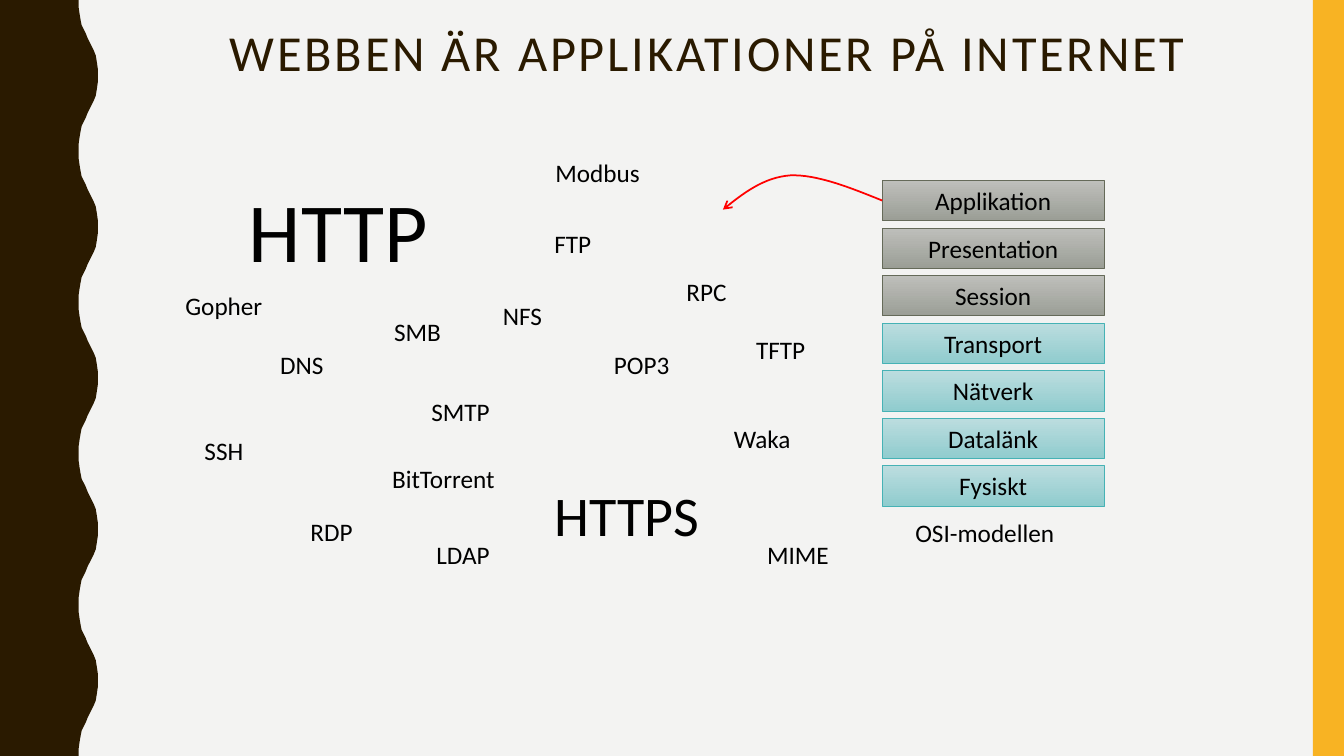
from dataclasses import dataclass

from lxml import etree
from pptx import Presentation
from pptx.dml.color import RGBColor
from pptx.enum.shapes import MSO_SHAPE
from pptx.enum.text import MSO_ANCHOR, MSO_AUTO_SIZE, PP_ALIGN
from pptx.oxml.ns import qn
from pptx.util import Inches, Pt

RECT = MSO_SHAPE.RECTANGLE
TOP, MIDDLE = MSO_ANCHOR.TOP, MSO_ANCHOR.MIDDLE
LEFT, CENTER = PP_ALIGN.LEFT, PP_ALIGN.CENTER
GROW = MSO_AUTO_SIZE.SHAPE_TO_FIT_TEXT


@dataclass(frozen=True)
class Theme:
    font: str = "Calibri"
    background: str = "F3F3F2"
    brown: str = "2A1A00"
    yellow: str = "F8B323"
    red: str = "FF0000"
    black: str = "000000"
    # gradient top, gradient bottom, outline
    gray: tuple = ("BEBFBB", "9B9E96", "656A59")
    teal: tuple = ("BCDDDF", "90CCCE", "46B2B5")
    title: int = 36
    body: int = 18
    http: int = 60
    https: int = 40


theme = Theme()


def rgb(value):
    return RGBColor.from_string(value)


def write(shape, text, size=theme.body, color=theme.black, align=LEFT,
          anchor=TOP, wrap=True, grow=True, line_spacing=None, tracking=0):
    """Fill a shape with one formatted line; tracking is in points."""
    tf = shape.text_frame
    tf.word_wrap = wrap
    tf.vertical_anchor = anchor
    if grow:
        tf.auto_size = GROW
    p = tf.paragraphs[0]
    p.alignment = align
    if line_spacing:
        p.line_spacing = line_spacing
    r = p.add_run()
    r.text = text
    r.font.name = theme.font
    r.font.size = Pt(size)
    r.font.color.rgb = rgb(color)
    if tracking:
        r.font._element.set("spc", str(tracking * 100))


prs = Presentation()
prs.slide_width, prs.slide_height = Inches(13.33), Inches(7.5)
s = prs.slides.add_slide(prs.slide_layouts[6])
s.background.fill.solid()
s.background.fill.fore_color.rgb = rgb(theme.background)

# Wavy left edge: a half wave, mirrored, repeated five times
WAVES, PERIOD = 5, 1.5
half_wave = [(0.78, 0), (0.78, 0.07), (0.79, 0.14), (0.8, 0.2), (0.81, 0.25),
             (0.83, 0.29), (0.85, 0.33), (0.87, 0.38), (0.89, 0.42),
             (0.91, 0.46), (0.93, 0.5), (0.95, 0.55), (0.96, 0.61),
             (0.97, 0.68), (0.97, 0.75)]
wave = half_wave + [(x, PERIOD - y) for x, y in reversed(half_wave[:-1])]
edge = [(Inches(x), Inches(y + PERIOD * i))
        for i in range(WAVES) for x, y in wave]
fb = s.shapes.build_freeform(0, 0)
fb.add_line_segments(edge + [(0, Inches(7.5))], close=True)
left_band = fb.convert_to_shape()
right_band = s.shapes.add_shape(RECT, Inches(13.02), 0, Inches(0.31), Inches(7.5))
for band, color in ((left_band, theme.brown), (right_band, theme.yellow)):
    band.shadow.inherit = False
    band.fill.solid()
    band.fill.fore_color.rgb = rgb(color)
    band.line.fill.background()

title = s.shapes.add_textbox(Inches(1.28), Inches(0.23), Inches(11.48), Inches(0.88))
write(title, "WEBBEN ÄR APPLIKATIONER PÅ INTERNET", size=theme.title,
      color=theme.brown, align=CENTER, grow=False, line_spacing=0.9, tracking=2)

# OSI layers
LAYER_TOP, LAYER_PITCH = 1.79, 2.83 / 6
layers = [("Applikation", theme.gray), ("Presentation", theme.gray),
          ("Session", theme.gray), ("Transport", theme.teal),
          ("Nätverk", theme.teal), ("Datalänk", theme.teal),
          ("Fysiskt", theme.teal)]
for i, (name, (light, dark, outline)) in enumerate(layers):
    layer = s.shapes.add_shape(RECT, Inches(8.75), Inches(LAYER_TOP + i * LAYER_PITCH),
                               Inches(2.2), Inches(0.4))
    layer.shadow.inherit = False
    layer.fill.gradient()
    layer.fill.gradient_angle = 270
    for stop, color in zip(layer.fill.gradient_stops, (light, dark)):
        stop.color.rgb = rgb(color)
    layer.line.color.rgb = rgb(outline)
    layer.line.width = Pt(0.5)
    write(layer, name, align=CENTER, anchor=MIDDLE)

# Curved arrow: two cubic Bézier pieces, sampled
STEPS = 16
curves = [((8.75, 1.99), (8.43, 1.86), (8.1, 1.73), (7.84, 1.74)),
          ((7.84, 1.74), (7.57, 1.76), (7.37, 1.92), (7.17, 2.08))]
arrow_points = []
for curve in curves:
    for step in range(STEPS + 1):
        t = step / STEPS
        weights = ((1 - t) ** 3, 3 * t * (1 - t) ** 2, 3 * t ** 2 * (1 - t), t ** 3)
        arrow_points.append(tuple(
            Inches(sum(w * c for w, c in zip(weights, axis))) for axis in zip(*curve)))
fb = s.shapes.build_freeform(*arrow_points[0])
fb.add_line_segments(arrow_points[1:], close=False)
arrow = fb.convert_to_shape()
arrow.shadow.inherit = False
arrow.fill.background()
arrow.line.color.rgb = rgb(theme.red)
arrow.line.width = Pt(1.25)
etree.SubElement(arrow.line._get_or_add_ln(), qn("a:tailEnd"), type="arrow")

# Protocol names: text, left, top, width
labels = [
    ("OSI-modellen", 8.98, 5.08, 1.82), ("FTP", 5.4, 2.22, 1.1),
    ("DNS", 2.68, 3.42, 1.1), ("POP3", 5.99, 3.42, 1.02),
    ("RDP", 2.98, 5.07, 0.68), ("SMTP", 4.18, 3.88, 0.88),
    ("SSH", 1.93, 4.27, 0.67), ("TFTP", 7.4, 3.27, 0.82),
    ("Waka", 7.18, 4.15, 0.78), ("MIME", 7.51, 5.3, 0.89),
    ("NFS", 4.89, 2.93, 0.7), ("SMB", 3.81, 3.09, 0.73),
    ("Modbus", 5.41, 1.51, 1.09), ("Gopher", 1.74, 2.83, 1.03),
    ("LDAP", 4.23, 5.3, 0.83), ("BitTorrent", 3.79, 4.55, 1.41),
    ("RPC", 6.71, 2.69, 0.69),
]
wrapped = {"FTP", "DNS", "POP3"}
for name, x, y, width in labels:
    label = s.shapes.add_textbox(Inches(x), Inches(y), Inches(width), Inches(0.4))
    write(label, name, wrap=name in wrapped)

for name, x, y, height, size in (("HTTP", 2.37, 1.72, 1.11, theme.http),
                                 ("HTTPS", 5.4, 4.72, 0.77, theme.https)):
    label = s.shapes.add_textbox(Inches(x), Inches(y), Inches(2.6), Inches(height))
    write(label, name, size=size)

prs.save("out.pptx")
